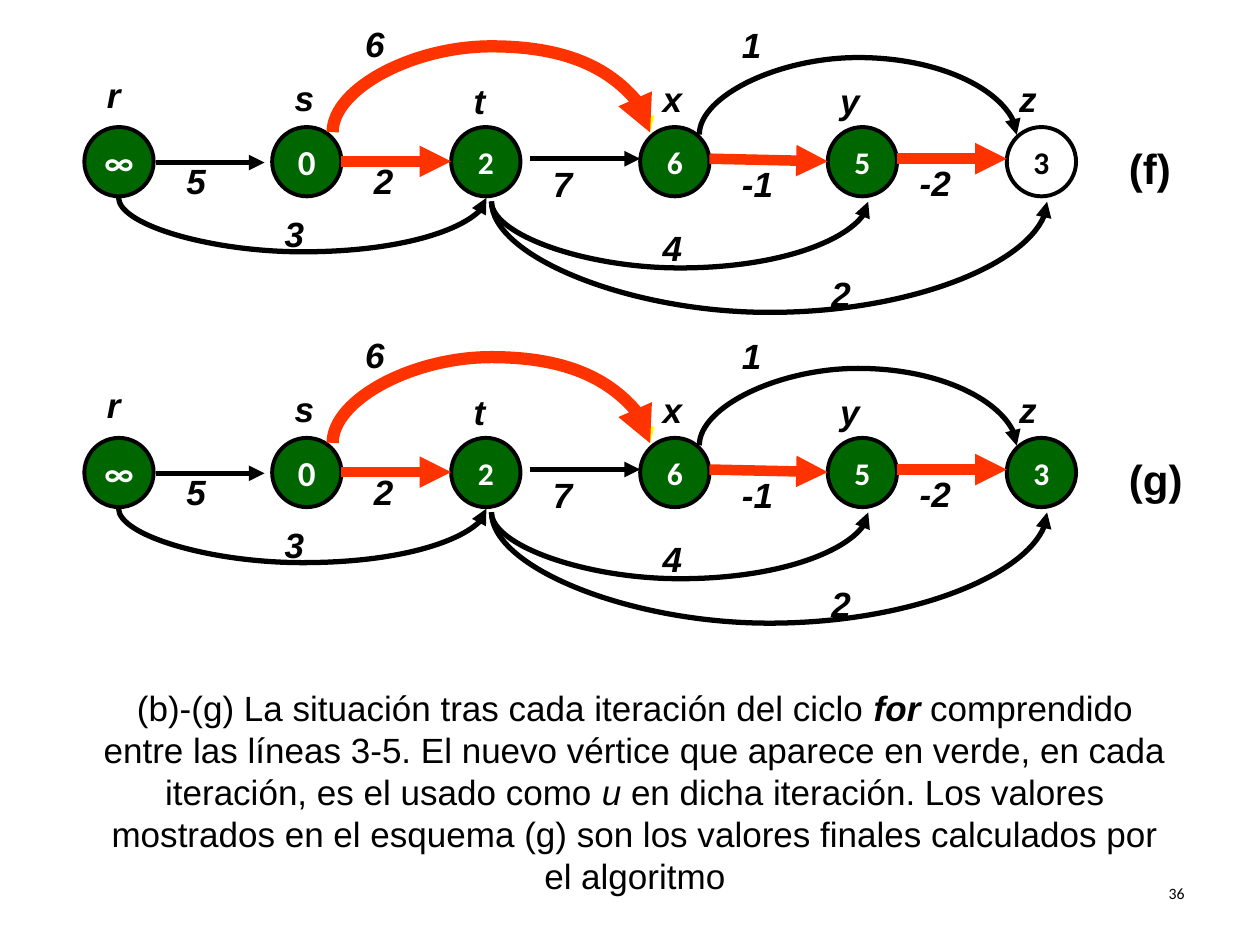
"""Build a slide with the last two steps of shortest paths on a directed acyclic graph."""
from lxml import etree
from pptx import Presentation
from pptx.dml.color import RGBColor
from pptx.enum.shapes import MSO_CONNECTOR, MSO_SHAPE
from pptx.enum.text import MSO_ANCHOR, MSO_AUTO_SIZE, PP_ALIGN
from pptx.oxml.ns import qn
from pptx.util import Pt

OVAL = MSO_SHAPE.OVAL
STRAIGHT, CURVE = MSO_CONNECTOR.STRAIGHT, MSO_CONNECTOR.CURVE
LEFT, CENTER, RIGHT = PP_ALIGN.LEFT, PP_ALIGN.CENTER, PP_ALIGN.RIGHT
TOP, MIDDLE = MSO_ANCHOR.TOP, MSO_ANCHOR.MIDDLE
FIT_SHAPE, FIXED = MSO_AUTO_SIZE.SHAPE_TO_FIT_TEXT, MSO_AUTO_SIZE.NONE

BLACK, WHITE, GREEN, RED, YELLOW = "000000", "FFFFFF", "006600", "FF3300", "FFFF00"
NODE_TOP, NODE_SIZE = 72.6, 39.6
LABEL_WIDTH, LABEL_HEIGHT = 51, 31
CURVE_BOX = 0.17

# Nodes: left, value, value size. Labels: text, left, top.
NODES = [(48.2, "∞", 20), (155.5, "0", 20), (257.8, "2", 18),
         (365.8, "6", 18), (473, "5", 18), (575.3, "3", 18)]
LABELS = [
    ("r", 54, 38.2), ("s", 161.3, 40.3), ("t", 263.5, 41.8),
    ("x", 371.5, 41), ("y", 473, 41.8), ("z", 575.3, 41),
    ("5", 99.4, 87.6), ("2", 206.6, 87.8), ("7", 308.9, 89.3),
    ("-1", 416.9, 89.3), ("-2", 518.4, 88.6),
    ("3", 155.5, 118), ("4", 371.5, 126), ("2", 468, 152),
    ("6", 201.6, 9.4), ("1", 416.9, 10.1),
]
ARROWS = [
    (89.3, 92.9, 151.2, 92.9, BLACK, 3), (195.1, 92.2, 257.8, 92.2, RED, 6),
    (303.1, 90.7, 365.8, 90.7, BLACK, 3), (405.4, 90.7, 473, 92.2, RED, 6),
    (512.6, 90.7, 575.3, 90.7, RED, 6),
]
ARCS = [
    (190.1, 371.5, 75.6, -49, YELLOW, 3), (399.6, 581, 77, -44, BLACK, 3),
    (67.7, 277.9, 113, 31, BLACK, 3), (280.8, 496.1, 115.2, 38, BLACK, 3),
    (280.8, 598.3, 115.2, 63.4, BLACK, 3), (190.1, 371.5, 75.6, -49, RED, 7),
]
# Graphs: name, vertical offset, number of visited nodes.
GRAPHS = [("(f)", 0, 5), ("(g)", 177.6, 6)]
CAPTION = [
    ("(b)-(g) La situación tras cada iteración del ciclo ", False, False),
    ("for", True, True),
    (" comprendido entre las líneas 3-5. El nuevo vértice que aparece en verde, "
     "en cada iteración, es el usado como ", False, False),
    ("u", False, True),
    (" en dicha iteración. Los valores mostrados en el esquema (g) son los valores "
     "finales calculados por el algoritmo", False, False),
]


def color(hex_value):
    return RGBColor.from_string(hex_value)


def write(text_frame, runs, size, font="Arial", ink=BLACK, align=LEFT, anchor=TOP):
    text_frame.vertical_anchor = anchor
    paragraph = text_frame.paragraphs[0]
    paragraph.alignment = align
    for text, bold, italic in runs:
        run = paragraph.add_run()
        run.text = text
        run.font.name, run.font.size = font, Pt(size)
        run.font.bold, run.font.italic = bold, italic
        run.font.color.rgb = color(ink)


def add_text(slide, box, runs, size, fit=FIT_SHAPE, **style):
    shape = slide.shapes.add_textbox(*map(Pt, box))
    shape.text_frame.word_wrap = True
    shape.text_frame.auto_size = fit
    write(shape.text_frame, runs, size, **style)


def add_node(slide, left, top, value, size, visited):
    shape = slide.shapes.add_shape(OVAL, Pt(left), Pt(top), Pt(NODE_SIZE), Pt(NODE_SIZE))
    shape.shadow.inherit = False
    if visited:
        shape.fill.solid()
        shape.fill.fore_color.rgb = color(GREEN)
    else:
        shape.fill.background()
    shape.line.color.rgb = color(BLACK)
    shape.line.width = Pt(2.25)
    shape.text_frame.word_wrap = False
    write(shape.text_frame, [(value, True, False)], size, "Calibri",
          WHITE if visited else BLACK, CENTER, MIDDLE)


def add_arrow(slide, kind, points, ink, width):
    connector = slide.shapes.add_connector(kind, *map(Pt, points))
    connector.line.color.rgb = color(ink)
    connector.line.width = Pt(width)
    properties = connector._element.spPr
    etree.SubElement(properties.find(qn("a:ln")), qn("a:tailEnd"), type="triangle")
    etree.SubElement(properties, qn("a:effectLst"))
    return connector


def add_arc(slide, start, end, y, depth, ink, width):
    """Draw a thin vertical curve and turn it so that it bulges by depth."""
    middle, half = (start + end) / 2, (end - start) / 2
    near, far = middle - CURVE_BOX / 2, middle + CURVE_BOX / 2
    if depth < 0:
        points, degrees = (near, y + half, far, y - half), 90
    else:
        points, degrees = (far, y - half, near, y + half), 270
    properties = add_arrow(slide, CURVE, points, ink, width)._element.spPr
    properties.find(qn("a:xfrm")).set("rot", str(degrees * 60000))
    adjustments = properties.find(qn("a:prstGeom")).find(qn("a:avLst"))
    amount = round(depth / CURVE_BOX * 100000)
    etree.SubElement(adjustments, qn("a:gd"), name="adj1", fmla=f"val {amount}")


def add_graph(slide, name, offset, visited_count):
    for index, (left, value, size) in enumerate(NODES):
        add_node(slide, left, NODE_TOP + offset, value, size, index < visited_count)
    for x1, y1, x2, y2, ink, width in ARROWS:
        add_arrow(slide, STRAIGHT, (x1, y1 + offset, x2, y2 + offset), ink, width)
    for start, end, y, depth, ink, width in ARCS:
        add_arc(slide, start, end, y + offset, depth, ink, width)
    for text, left, top in LABELS:
        add_text(slide, (left, top + offset, LABEL_WIDTH, LABEL_HEIGHT),
                 [(text, True, True)], 20)
    add_text(slide, (638, 77.8 + offset, LABEL_WIDTH, 36), [(name, True, False)], 24)


def main():
    presentation = Presentation()
    presentation.slide_width, presentation.slide_height = Pt(720), Pt(540)
    slide = presentation.slides.add_slide(presentation.slide_layouts[6])
    for graph in GRAPHS:
        add_graph(slide, *graph)
    add_text(slide, (48.2, 388.8, 629.3, 128.2), CAPTION, 20, align=CENTER)
    add_text(slide, (516.2, 491.8, 167.8, 37.4), [("36", False, False)], 9, FIXED,
             font="Calibri", align=RIGHT, anchor=MIDDLE)
    presentation.save("out.pptx")


if __name__ == "__main__":
    main()
